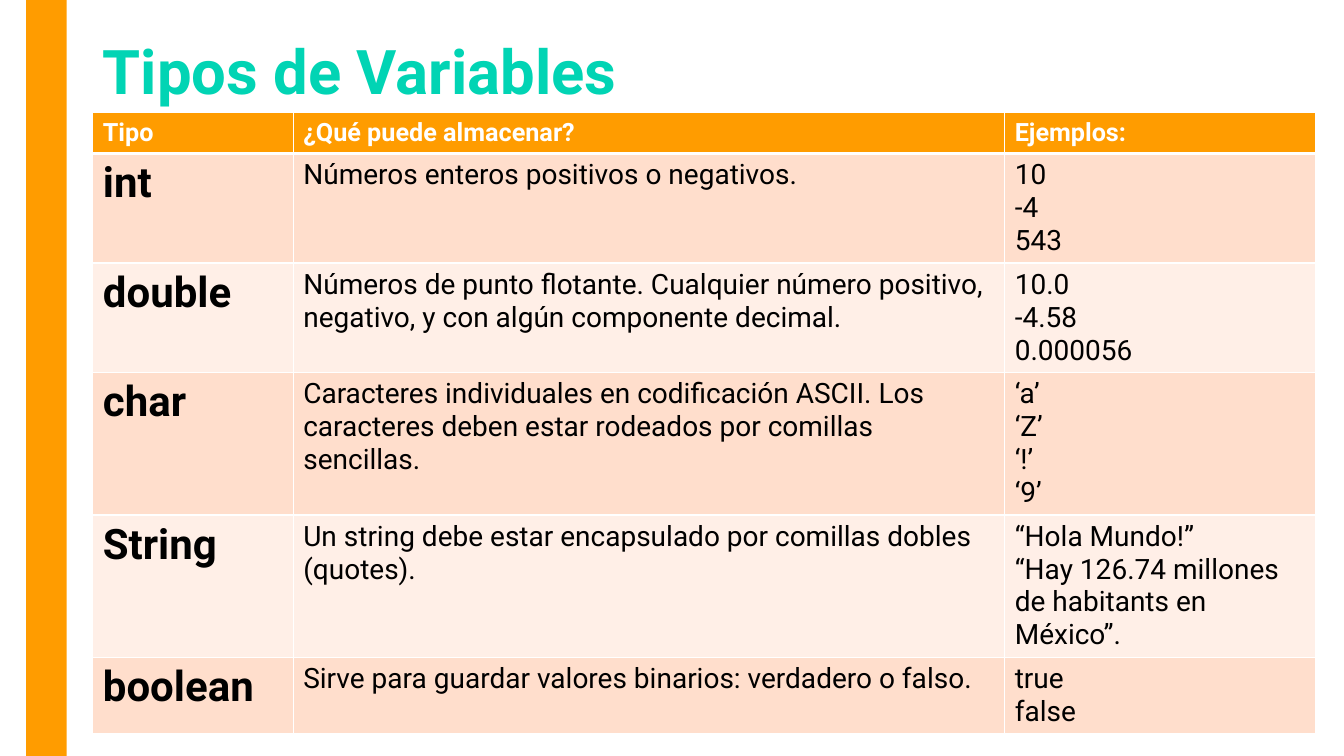
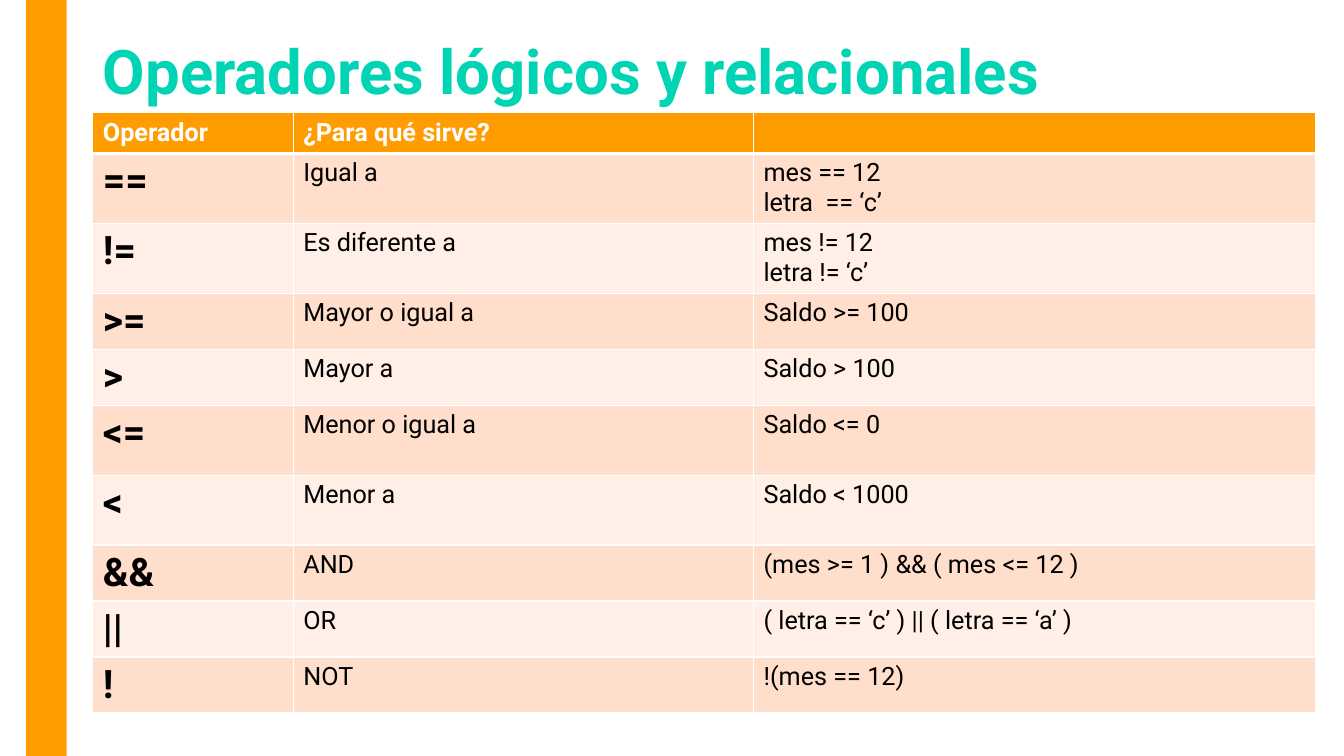
from lxml import etree
from pptx import Presentation
from pptx.dml.color import RGBColor
from pptx.enum.shapes import MSO_SHAPE
from pptx.enum.text import MSO_ANCHOR, PP_ALIGN
from pptx.oxml.ns import qn
from pptx.util import Cm, Pt

COLORS = {
    "accent": "FF9C00",
    "title": "01D4B4",
    "odd_row": "FFDECC",
    "even_row": "FFEFE7",
    "text": "000000",
    "white": "FFFFFF",
}
FONT = "Roboto"
LEFT, WIDTH = 2.34, 30.81
HEADER_HEIGHT = 1.03

# Each body row: height in cm, then its three texts
SLIDES = [
    {
        "title": "Tipos de Variables",
        "widths": [5.05, 17.93, 7.83],
        "sizes": [30, 20, 20],
        "header": ["Tipo", "¿Qué puede almacenar?", "Ejemplos:"],
        "rows": [
            (2.76, "int", "Números enteros positivos o negativos.", "10\n-4\n543"),
            (2.76, "double",
             "Números de punto flotante. Cualquier número positivo, negativo, "
             "y con algún componente decimal.",
             "10.0\n-4.58\n0.000056"),
            (3.59, "char",
             "Caracteres individuales en codificación ASCII. Los caracteres "
             "deben estar rodeados por comillas sencillas.",
             "‘a’\n‘Z’\n‘!’\n‘9’"),
            (3.59, "String",
             "Un string debe estar encapsulado por comillas dobles (quotes).",
             "“Hola Mundo!”\n“Hay 126.74 millones de habitants en México”."),
            (1.9, "boolean",
             "Sirve para guardar valores binarios: verdadero o falso.",
             "true\nfalse"),
        ],
    },
    {
        "title": "Operadores lógicos y relacionales",
        "widths": [5.05, 11.6, 14.16],
        "sizes": [28, 18, 18],
        "header": ["Operador", "¿Para qué sirve?", ""],
        "rows": [
            (1.76, "==", "Igual a", "mes == 12\nletra  == ‘c’"),
            (1.76, "!=", "Es diferente a", "mes != 12\nletra != ‘c’"),
            (1.41, ">=", "Mayor o igual a", "Saldo >= 100"),
            (1.41, ">", "Mayor a", "Saldo > 100"),
            (1.76, "<=", "Menor o igual a", "Saldo <= 0"),
            (1.76, "<", "Menor a", "Saldo < 1000"),
            (1.41, "&&", "AND", "(mes >= 1 ) && ( mes <= 12 )"),
            (1.41, "||", "OR", "( letra == ‘c’ ) || ( letra == ‘a’ )"),
            (1.41, "!", "NOT", "!(mes == 12)"),
        ],
    },
]


def style_text(frame, size, color, bold):
    for para in frame.paragraphs:
        para.font.name = FONT
        para.font.size = Pt(size)
        para.font.bold = bold
        para.font.color.rgb = RGBColor.from_string(COLORS[color])


def add_borders(cell, top, bottom):
    """Draw white borders; must run before the cell gets its fill."""
    properties = cell._tc.get_or_add_tcPr()
    for tag, width in (("a:lnL", 1), ("a:lnR", 1), ("a:lnT", top), ("a:lnB", bottom)):
        line = etree.SubElement(properties, qn(tag), w=str(Pt(width)))
        fill = etree.SubElement(line, qn("a:solidFill"))
        etree.SubElement(fill, qn("a:srgbClr"), val=COLORS["white"])


deck = Presentation()
deck.slide_width, deck.slide_height = Cm(33.87), Cm(19.05)

for content in SLIDES:
    page = deck.slides.add_slide(deck.slide_layouts[5])

    band = page.shapes.add_shape(
        MSO_SHAPE.RECTANGLE, Cm(0.66), 0, Cm(1.02), deck.slide_height)
    band.shadow.inherit = False
    band.fill.solid()
    band.fill.fore_color.rgb = RGBColor.from_string(COLORS["accent"])
    band.line.fill.background()

    title = page.shapes.title
    title.left, title.top = Cm(LEFT), Cm(0.56)
    title.width, title.height = Cm(WIDTH), Cm(2.64)
    title.text_frame.text = content["title"]
    title.text_frame.vertical_anchor = MSO_ANCHOR.MIDDLE
    title.text_frame.paragraphs[0].alignment = PP_ALIGN.LEFT
    title.text_frame.paragraphs[0].line_spacing = 0.9
    style_text(title.text_frame, 44, "title", True)

    rows = [(HEADER_HEIGHT, *content["header"]), *content["rows"]]
    total_height = sum(row[0] for row in rows)
    table = page.shapes.add_table(
        len(rows), 3, Cm(LEFT), Cm(2.84), Cm(WIDTH), Cm(total_height)).table
    for column, width in zip(table.columns, content["widths"]):
        column.width = Cm(width)

    for r, (height, *texts) in enumerate(rows):
        table.rows[r].height = Cm(height)
        is_header = r == 0
        row_color = "accent" if is_header else "odd_row" if r % 2 else "even_row"
        for c, text in enumerate(texts):
            cell = table.cell(r, c)
            cell.text = text
            size = 18 if is_header else content["sizes"][c]
            style_text(cell.text_frame, size, "white" if is_header else "text",
                       is_header or c == 0)
            add_borders(cell, top=3 if r == 1 else 1, bottom=3 if is_header else 1)
            cell.fill.solid()
            cell.fill.fore_color.rgb = RGBColor.from_string(COLORS[row_color])

deck.save("out.pptx")
